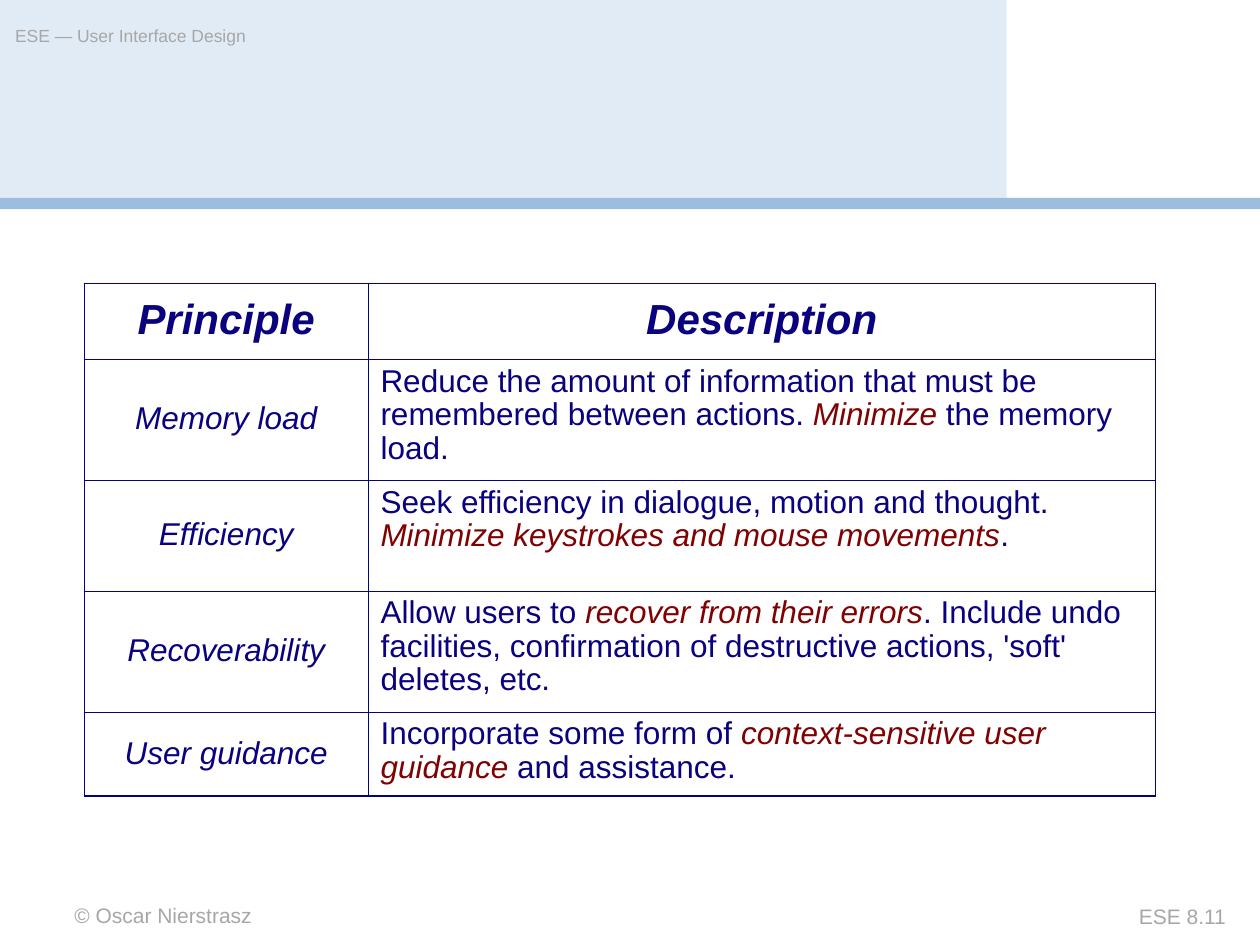
from dataclasses import dataclass

from lxml.etree import SubElement
from pptx import Presentation
from pptx.dml.color import RGBColor
from pptx.enum.shapes import MSO_SHAPE
from pptx.enum.text import MSO_ANCHOR, PP_ALIGN
from pptx.oxml.ns import qn
from pptx.util import Inches, Pt

NAVY = "0A017F"
MAROON = "7F0101"
GREY = "A7A7A7"
BORDER = "05027D"
THICK, THIN = 1.08, 0.45


@dataclass(frozen=True)
class Band:
    width: float
    top: float
    height: float
    color: str


@dataclass(frozen=True)
class Label:
    text: str
    left: float
    top: float
    width: float
    height: float
    size: float
    align: PP_ALIGN = PP_ALIGN.LEFT


@dataclass(frozen=True)
class Principle:
    name: str
    before: str
    emphasis: str
    after: str
    height: float


BANDS = [Band(7.99, 0, 1.58, "E1EBF5"), Band(10, 1.57, 0.09, "9CBDDE")]

LABELS = [
    Label("© Oscar Nierstrasz", 0.59, 7.16, 4.17, 0.2, 12),
    Label("ESE — User Interface Design", 0.12, 0.2, 5.9, 0.28, 10),
    Label("ESE 8.11", 8.25, 7.17, 1.48, 0.2, 12, PP_ALIGN.RIGHT),
]

HEADINGS = ["Principle", "Description"]
HEADING_HEIGHT = 0.6
COLUMN_WIDTHS = [2.25, 6.25]

PRINCIPLES = [
    Principle("Memory load",
              "Reduce the amount of information that must be remembered between actions. ",
              "Minimize", " the memory load.", 0.96),
    Principle("Efficiency",
              "Seek efficiency in dialogue, motion and thought. ",
              "Minimize keystrokes and mouse movements", ".", 0.88),
    Principle("Recoverability", "Allow users to ", "recover from their errors",
              ". Include undo facilities, confirmation of destructive actions, "
              "'soft' deletes, etc.", 0.96),
    Principle("User guidance", "Incorporate some form of ",
              "context-sensitive user guidance", " and assistance.", 0.67),
]


def rgb(color: str) -> RGBColor:
    return RGBColor.from_string(color)


def add_run(paragraph, text: str, size: float, color: str,
            bold: bool = False, italic: bool = False) -> None:
    run = paragraph.add_run()
    run.text = text
    run.font.name = "Arial"
    run.font.size = Pt(size)
    run.font.color.rgb = rgb(color)
    run.font.bold = bold
    run.font.italic = italic


def draw_band(slide, band: Band) -> None:
    bar = slide.shapes.add_shape(MSO_SHAPE.RECTANGLE, 0, Inches(band.top),
                                 Inches(band.width), Inches(band.height))
    bar.shadow.inherit = False
    bar.fill.solid()
    bar.fill.fore_color.rgb = rgb(band.color)
    bar.line.fill.background()


def draw_label(slide, label: Label) -> None:
    box = slide.shapes.add_textbox(Inches(label.left), Inches(label.top),
                                   Inches(label.width), Inches(label.height))
    frame = box.text_frame
    frame.word_wrap = True
    frame.margin_left = frame.margin_right = 0
    frame.margin_top = frame.margin_bottom = 0
    paragraph = frame.paragraphs[0]
    paragraph.alignment = label.align
    add_run(paragraph, label.text, label.size, GREY)


def style_cell(cell, widths: dict[str, float], centred: bool):
    properties = cell._tc.get_or_add_tcPr()
    for side in ("L", "R", "T", "B"):
        edge = SubElement(properties, qn(f"a:ln{side}"), w=str(Pt(widths[side])))
        SubElement(SubElement(edge, qn("a:solidFill")), qn("a:srgbClr"), val=BORDER)
    cell.fill.background()
    cell.margin_left = cell.margin_right = Inches(0.1)
    cell.margin_top = cell.margin_bottom = Inches(0.05)
    cell.vertical_anchor = MSO_ANCHOR.MIDDLE if centred else MSO_ANCHOR.TOP
    paragraph = cell.text_frame.paragraphs[0]
    paragraph.alignment = PP_ALIGN.CENTER if centred else PP_ALIGN.LEFT
    paragraph.line_spacing = 0.95
    return paragraph


def draw_principles(slide) -> None:
    heights = [HEADING_HEIGHT] + [principle.height for principle in PRINCIPLES]
    table = slide.shapes.add_table(
        len(heights), len(COLUMN_WIDTHS), Inches(0.67), Inches(2.25),
        Inches(sum(COLUMN_WIDTHS)), Inches(sum(heights))).table
    table.first_row = table.horz_banding = False
    for column, width in zip(table.columns, COLUMN_WIDTHS):
        column.width = Inches(width)
    for row, height in zip(table.rows, heights):
        row.height = Inches(height)

    last_row, last_column = len(heights) - 1, len(COLUMN_WIDTHS) - 1

    def paragraph_at(row: int, column: int):
        widths = {
            "L": THICK if column == 0 else THIN,
            "R": THICK if column == last_column else THIN,
            "T": THICK if row == 0 else THIN,
            "B": THICK if row == last_row else THIN,
        }
        return style_cell(table.cell(row, column), widths, row == 0 or column == 0)

    for column, heading in enumerate(HEADINGS):
        add_run(paragraph_at(0, column), heading, 24, NAVY, bold=True, italic=True)
    for row, principle in enumerate(PRINCIPLES, start=1):
        add_run(paragraph_at(row, 0), principle.name, 18, NAVY, italic=True)
        description = paragraph_at(row, 1)
        add_run(description, principle.before, 18, NAVY)
        add_run(description, principle.emphasis, 18, MAROON, italic=True)
        add_run(description, principle.after, 18, NAVY)


def main() -> None:
    presentation = Presentation()
    presentation.slide_width = Inches(10)
    presentation.slide_height = Inches(7.5)
    slide = presentation.slides.add_slide(presentation.slide_layouts[6])
    for band in BANDS:
        draw_band(slide, band)
    for label in LABELS:
        draw_label(slide, label)
    draw_principles(slide)
    presentation.save("out.pptx")


if __name__ == "__main__":
    main()
